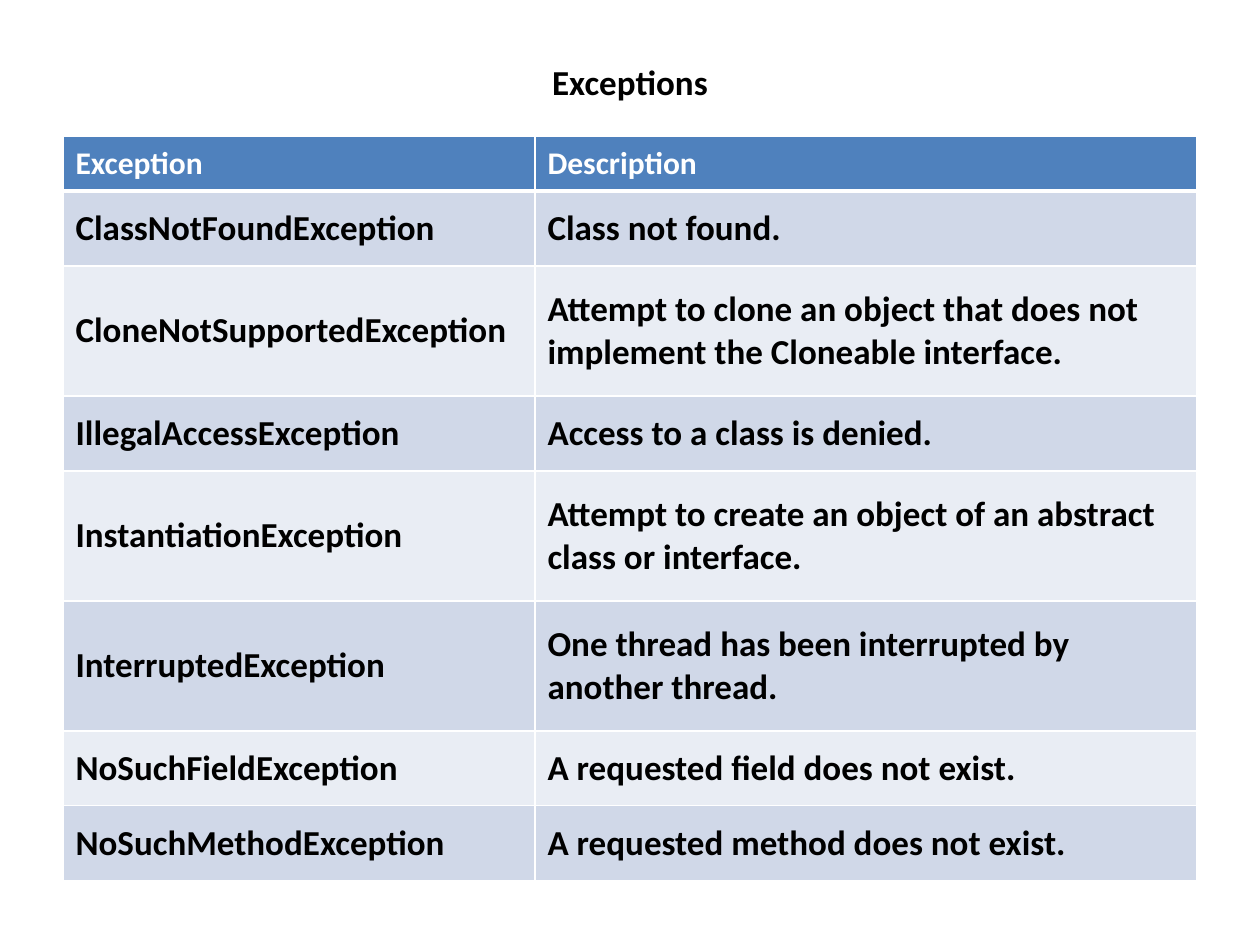
from dataclasses import dataclass

from lxml.etree import SubElement
from pptx import Presentation
from pptx.dml.color import RGBColor
from pptx.enum.text import MSO_ANCHOR, PP_ALIGN
from pptx.oxml.ns import qn
from pptx.util import Pt

PX = 914400 // 126


@dataclass(frozen=True)
class Theme:
    font: str = "Calibri"
    text: str = "000000"
    header_text: str = "FFFFFF"
    header_fill: str = "4F81BD"
    bands: tuple = ("D0D8E8", "E9EDF4")
    border: str = "FFFFFF"
    body_size: int = 20
    header_size: int = 18
    thin: int = 1
    thick: int = 3


T = Theme()


def add_text(p, text, size, color):
    r = p.add_run()
    r.text = text
    r.font.name = T.font
    r.font.size = Pt(size)
    r.font.bold = True
    r.font.color.rgb = RGBColor.from_string(color)


def set_borders(cell, top, bottom):
    """Draw all four cell borders; call before the fill, which must follow them."""
    tcPr = cell._tc.get_or_add_tcPr()
    for side, width in (("L", T.thin), ("R", T.thin), ("T", top), ("B", bottom)):
        ln = SubElement(tcPr, qn(f"a:ln{side}"), w=str(Pt(width)))
        fill = SubElement(ln, qn("a:solidFill"))
        SubElement(fill, qn("a:srgbClr"), val=T.border)


prs = Presentation()
prs.slide_width = 1260 * PX
prs.slide_height = 945 * PX
s = prs.slides.add_slide(prs.slide_layouts[6])

# Title
title = s.shapes.add_textbox(63 * PX, 38 * PX, 1134 * PX, 88 * PX)
tf = title.text_frame
tf.word_wrap = True
tf.vertical_anchor = MSO_ANCHOR.MIDDLE
p = tf.paragraphs[0]
p.alignment = PP_ALIGN.CENTER
add_text(p, "Exceptions", T.body_size, T.text)

# Exception table: row height in px, exception, description
rows = [
    (55, "Exception", "Description"),
    (75, "ClassNotFoundException", "Class not found."),
    (130, "CloneNotSupportedException",
     "Attempt to clone an object that does not implement the Cloneable interface."),
    (75, "IllegalAccessException", "Access to a class is denied."),
    (130, "InstantiationException",
     "Attempt to create an object of an abstract class or interface."),
    (130, "InterruptedException", "One thread has been interrupted by another thread."),
    (75, "NoSuchFieldException", "A requested field does not exist."),
    (75, "NoSuchMethodException", "A requested method does not exist."),
]
col_widths = (472, 662)
table = s.shapes.add_table(
    len(rows), len(col_widths), 63 * PX, 136 * PX,
    sum(col_widths) * PX, sum(row[0] for row in rows) * PX,
).table
for col, width in zip(table.columns, col_widths):
    col.width = width * PX

for i, (height, *texts) in enumerate(rows):
    table.rows[i].height = height * PX
    if i == 0:
        fill, color, size = T.header_fill, T.header_text, T.header_size
    else:
        fill, color, size = T.bands[(i - 1) % 2], T.text, T.body_size
    for j, text in enumerate(texts):
        cell = table.cell(i, j)
        cell.vertical_anchor = MSO_ANCHOR.MIDDLE
        set_borders(cell, top=T.thick if i == 1 else T.thin,
                    bottom=T.thick if i == 0 else T.thin)
        cell.fill.solid()
        cell.fill.fore_color.rgb = RGBColor.from_string(fill)
        add_text(cell.text_frame.paragraphs[0], text, size, color)

prs.save("out.pptx")
